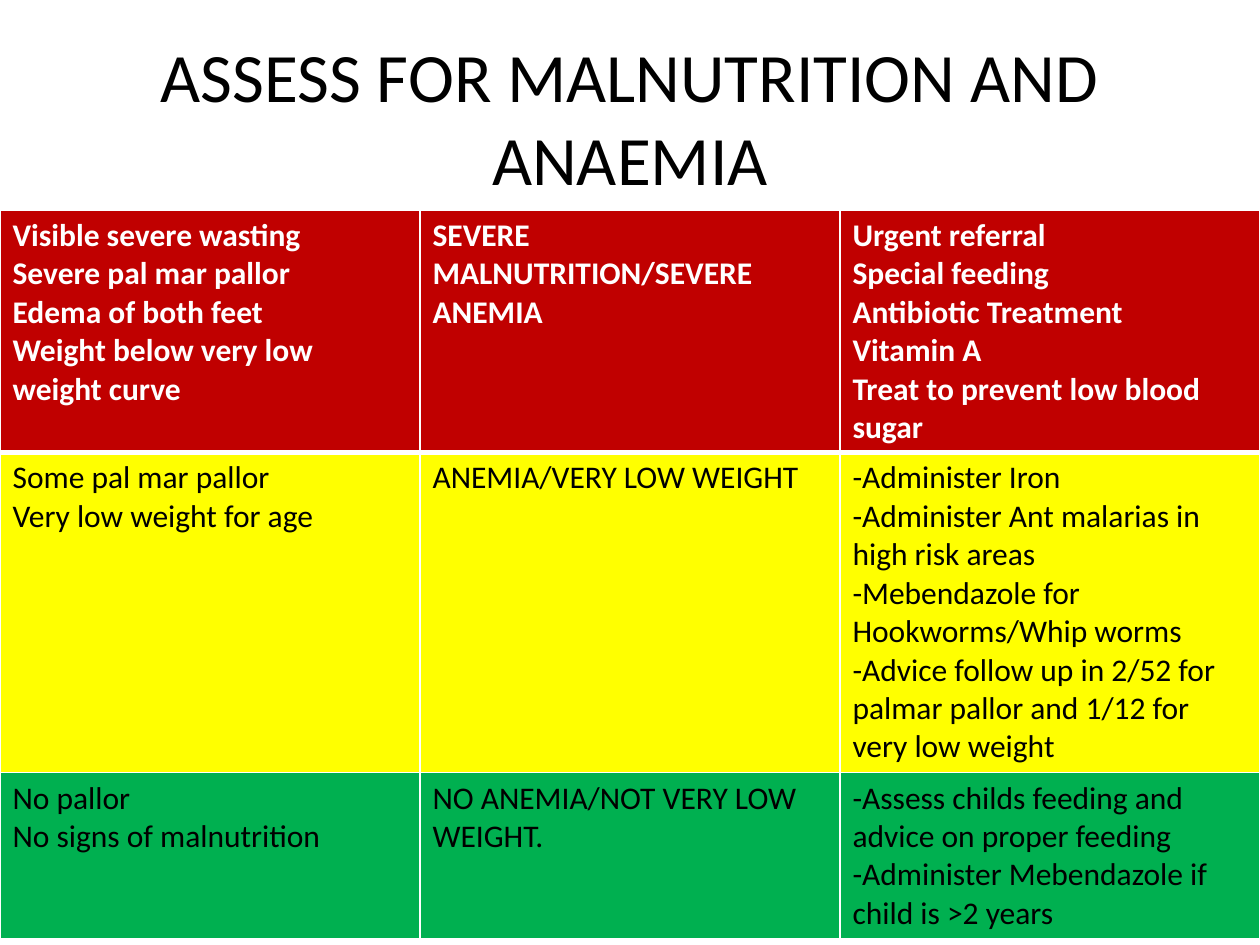
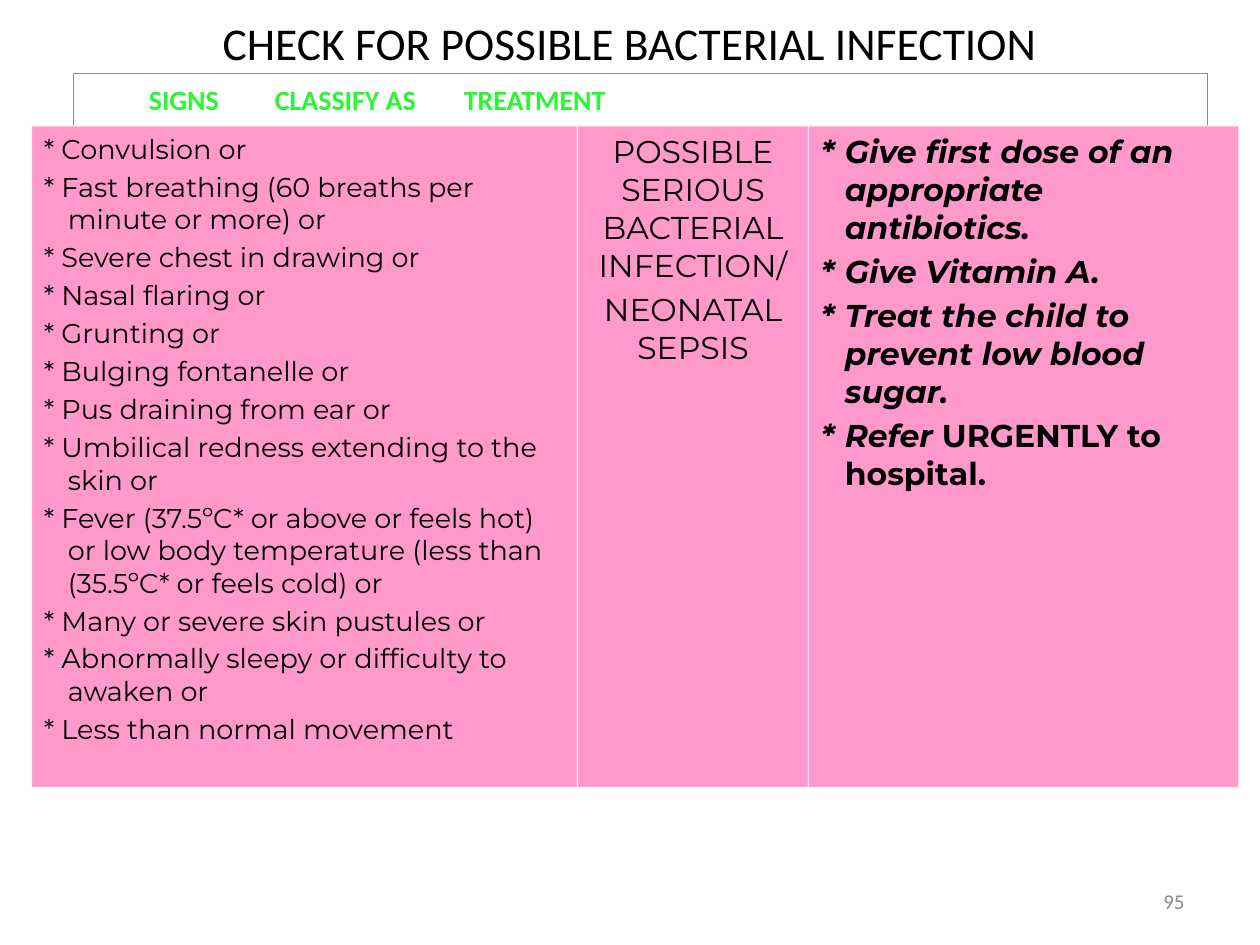
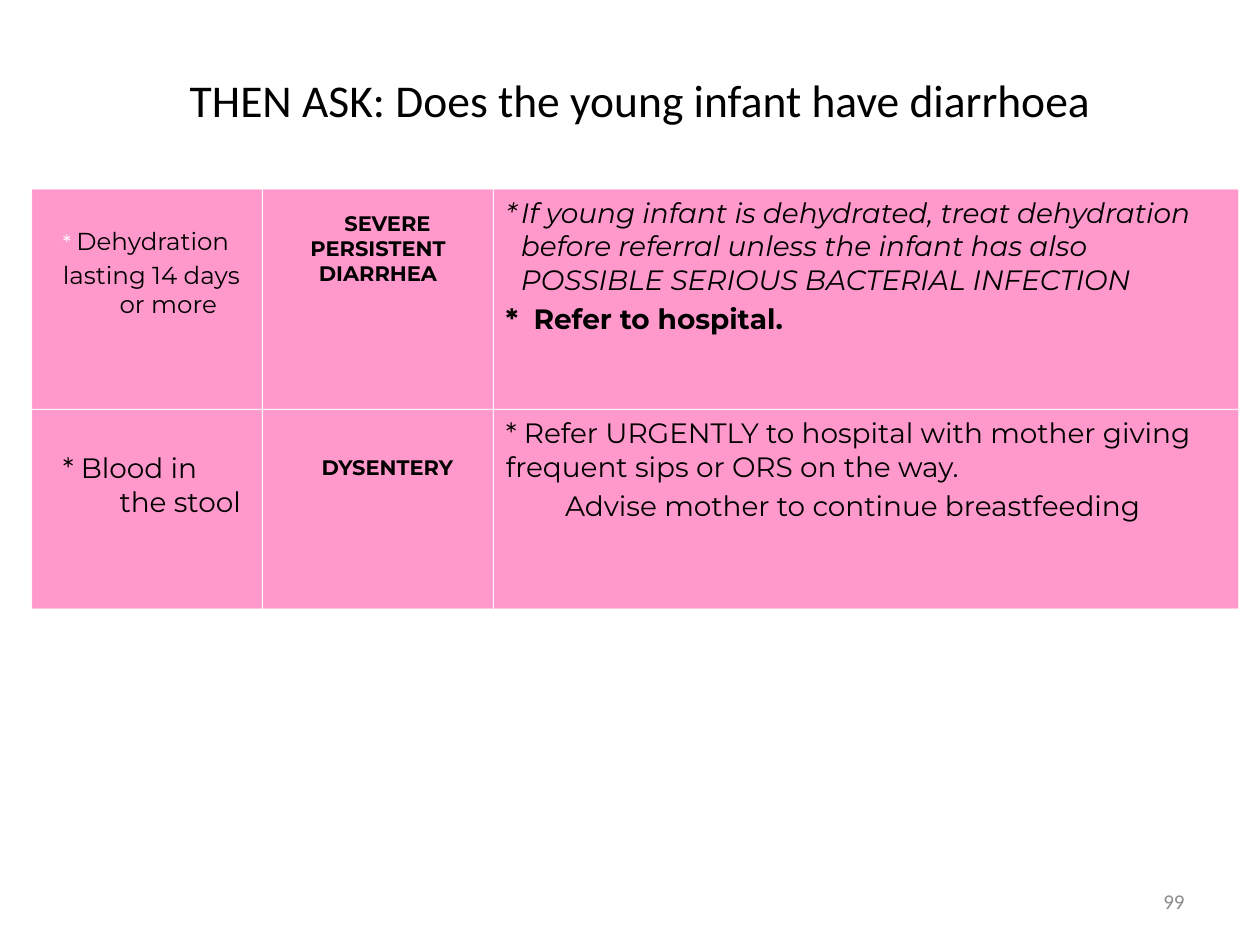
from dataclasses import dataclass

from lxml import etree
from pptx import Presentation
from pptx import util as u
from pptx.dml.color import RGBColor
from pptx.enum import shapes, text
from pptx.oxml.ns import qn

BLACK = RGBColor(0x00, 0x00, 0x00)
WHITE = RGBColor(0xFF, 0xFF, 0xFF)
GRAY = RGBColor(0x8C, 0x8C, 0x8C)
LIME = RGBColor(0x2B, 0xF5, 0x35)
PINK = RGBColor(0xFF, 0x99, 0xCC)
RED = RGBColor(0xC0, 0x00, 0x00)
YELLOW = RGBColor(0xFF, 0xFF, 0x00)
GREEN = RGBColor(0x00, 0xB0, 0x50)

HEADING_FONT, BODY_FONT = "Calibri", "Montserrat"
LEFT, CENTER, RIGHT = text.PP_ALIGN.LEFT, text.PP_ALIGN.CENTER, text.PP_ALIGN.RIGHT
TOP, MIDDLE = text.MSO_ANCHOR.TOP, text.MSO_ANCHOR.MIDDLE

# The slide is 120 columns by 90 rows, twelve of each to the inch.
GRID = u.Inches(1) // 12
COLUMNS, ROWS = 120, 90


@dataclass
class Style:
    """Look of a paragraph; left, first and tabs are in inches."""
    size: float
    font: str = BODY_FONT
    color: RGBColor = BLACK
    bold: bool = False
    italic: bool = False
    align: text.PP_ALIGN = LEFT
    left: float = 0
    first: float = 0
    tabs: tuple = ()
    space: float = 0.2  # space before, as a share of the text size


class Deck:
    def __init__(self):
        self.presentation = Presentation()
        self.presentation.slide_width = COLUMNS * GRID
        self.presentation.slide_height = ROWS * GRID
        self.slide = None

    def new_slide(self):
        self.slide = self.presentation.slides.add_slide(self.presentation.slide_layouts[6])

    @staticmethod
    def place(*cells):
        return [u.Emu(round(cell * GRID)) for cell in cells]

    @staticmethod
    def fill_text(frame, paragraphs):
        """Fill a frame with (style, run, ...); a run is a string or (string, font settings)."""
        for index, (style, *runs) in enumerate(paragraphs):
            paragraph = frame.add_paragraph() if index else frame.paragraphs[0]
            paragraph.alignment = style.align
            if index and style.space:
                paragraph.space_before = u.Pt(round(style.space * style.size, 1))
            properties = paragraph._p.get_or_add_pPr()
            properties.set("marL", str(u.Inches(style.left)))
            properties.set("indent", str(u.Inches(style.first)))
            if style.tabs:
                stops = etree.SubElement(properties, qn("a:tabLst"))
                for position in style.tabs:
                    etree.SubElement(stops, qn("a:tab"), pos=str(u.Inches(position)), algn="l")
            font = paragraph.font
            font.name, font.size = style.font, u.Pt(style.size)
            font.bold, font.italic = style.bold, style.italic
            font.color.rgb = style.color
            for item in runs:
                content, changes = (item, {}) if isinstance(item, str) else item
                run = paragraph.add_run()
                run.text = content
                run.font.size = changes.get("size")
                run.font.italic = changes.get("italic")
                if "color" in changes:
                    run.font.color.rgb = changes["color"]

    def label(self, place, style, content):
        frame = self.slide.shapes.add_textbox(*self.place(*place)).text_frame
        frame.word_wrap = True
        frame.vertical_anchor = MIDDLE
        self.fill_text(frame, [(style, content)])

    def title(self, content, place, size=26):
        self.label(place, Style(size, HEADING_FONT, align=CENTER), content)

    def page_number(self, number):
        self.label((86, 83.4, 28, 4.8), Style(12, HEADING_FONT, GRAY, align=RIGHT), str(number))

    def box(self, place, paragraphs, fill=None, line=WHITE, opacity=100, top=0.05):
        shape = self.slide.shapes.add_shape(shapes.MSO_SHAPE.RECTANGLE, *self.place(*place))
        shape.shadow.inherit = False
        if fill is None:
            shape.fill.background()
        else:
            shape.fill.solid()
            shape.fill.fore_color.rgb = fill
        shape.line.color.rgb = line
        shape.line.width = u.Pt(0.75)
        if opacity < 100:
            color = shape.line._ln.find(".//" + qn("a:srgbClr"))
            etree.SubElement(color, qn("a:alpha"), val=str(opacity * 1000))
        frame = shape.text_frame
        frame.word_wrap = True
        frame.vertical_anchor = TOP
        frame.margin_top = u.Inches(top)
        self.fill_text(frame, paragraphs)

    def panel_row(self, top, height, widths, panels):
        """Lay pink panels side by side; a panel is (top inset, paragraphs)."""
        left = 3
        for width, (inset, paragraphs) in zip(widths, panels):
            self.box((left, top, width, height), paragraphs, PINK, opacity=72, top=inset)
            left += width

    @staticmethod
    def cell_borders(cell, widths):
        properties = cell._tc.get_or_add_tcPr()
        for index, (side, width) in enumerate(widths.items()):
            line = etree.Element(qn(f"a:ln{side}"), w=str(u.Pt(width)))
            fill = etree.SubElement(line, qn("a:solidFill"))
            etree.SubElement(fill, qn("a:srgbClr"), val=str(WHITE))
            properties.insert(index, line)

    def table(self, top, heights, rows):
        """Draw equal columns across the slide; a row is (fill, style, cells)."""
        count = len(rows[0][2])
        place = self.place(0, top, COLUMNS, sum(heights))
        table = self.slide.shapes.add_table(len(rows), count, *place).table
        for row, (height, (fill, style, cells)) in enumerate(zip(heights, rows)):
            table.rows[row].height = self.place(height)[0]
            for column, lines in enumerate(cells):
                cell = table.cell(row, column)
                cell.fill.solid()
                cell.fill.fore_color.rgb = fill
                self.cell_borders(cell, {"L": 1, "R": 1, "T": 3 if row == 1 else 1,
                                         "B": 3 if row == 0 else 1})
                self.fill_text(cell.text_frame, [(style, line) for line in lines])


def malnutrition_slide(deck):
    deck.new_slide()
    deck.title("ASSESS FOR MALNUTRITION AND ANAEMIA", (6, 3.6, 108, 15), 39.6)
    severe = Style(18, HEADING_FONT, WHITE, bold=True, space=0)
    milder = Style(18, HEADING_FONT, space=0)
    deck.table(20, (23.1, 30.5, 15.8), [
        (RED, severe, [
            ["Visible severe wasting", "Severe pal mar pallor", "Edema of both feet",
             "Weight below very low weight curve"],
            ["SEVERE MALNUTRITION/SEVERE ANEMIA"],
            ["Urgent referral", "Special feeding", "Antibiotic Treatment", "Vitamin A",
             "Treat to prevent low blood sugar"]]),
        (YELLOW, milder, [
            ["Some pal mar pallor", "Very low weight for age"],
            ["ANEMIA/VERY LOW WEIGHT"],
            ["-Administer Iron", "-Administer Ant malarias in high risk areas",
             "-Mebendazole for Hookworms/Whip worms",
             "-Advice follow up in 2/52 for palmar pallor and 1/12 for very low weight"]]),
        (GREEN, milder, [
            ["No pallor", "No signs of malnutrition"],
            ["NO ANEMIA/NOT VERY LOW WEIGHT."],
            ["-Assess childs feeding and advice on proper feeding",
             "-Administer Mebendazole if child is >2 years"]]),
    ])


def infection_slide(deck):
    deck.new_slide()
    deck.title("CHECK FOR POSSIBLE BACTERIAL INFECTION", (6, -1, 108, 10))
    deck.page_number(95)

    # Column headings
    headings = Style(16, HEADING_FONT, LIME, bold=True, tabs=(1.26, 2.96, 5.13))
    deck.box((7, 7, 108, 8), [(headings, "\tSIGNS\tCLASSIFY AS\tTREATMENT")],
             line=GRAY, top=0.07)

    # Signs, class and treatment
    sign = Style(15.5, left=0.19, first=-0.19)
    name = Style(18, align=CENTER)
    step = Style(18, bold=True, italic=True, left=0.19, first=-0.19)
    signs = [
        "Convulsion or",
        "Fast breathing (60 breaths per minute or more) or",
        "Severe chest in drawing or",
        "Nasal flaring or",
        "Grunting or",
        "Bulging fontanelle or",
        "Pus draining from ear or",
        "Umbilical redness extending to the skin or",
        "Fever (37.5ºC* or above or feels hot) or low body temperature "
        "(less than (35.5ºC* or feels cold) or",
        "Many or severe skin pustules or",
        "Abnormally sleepy or difficulty to awaken or",
        "Less than normal movement",
    ]
    deck.panel_row(12, 63, (52, 22, 41), [
        (0.05, [(sign, f"* {line}") for line in signs]),
        (0.05, [(name, "POSSIBLE SERIOUS BACTERIAL INFECTION/"), (name, "NEONATAL SEPSIS")]),
        (0.05, [(step, "*\tGive first dose of an appropriate antibiotics."),
                (step, "*\tGive Vitamin A."),
                (step, "*\tTreat the child to prevent low blood sugar."),
                (step, "*\tRefer ", ("URGENTLY to hospital.", {"italic": False}))]),
    ])


def diarrhoea_slide(deck):
    deck.new_slide()
    deck.title("THEN ASK: Does the young infant have diarrhoea", (3, 5, 116, 9))
    deck.page_number(99)
    widths = (22, 22, 71)

    # Persistent diarrhoea
    sign = Style(14, left=0.6, first=-0.45)
    deck.panel_row(18, 21, widths, [
        (0.29, [(sign, ("* ", {"size": u.Pt(12), "color": WHITE}), "Dehydration"),
                (sign, "lasting 14 days or more")]),
        (0.17, [(Style(12, bold=True, align=CENTER, first=0.15),
                 "SEVERE PERSISTENT DIARRHEA")]),
        (0.05, [(Style(16, italic=True, left=0.12, first=-0.12),
                 "*\tIf young infant is dehydrated, treat dehydration before referral unless "
                 "the infant has also POSSIBLE SERIOUS BACTERIAL INFECTION"),
                (Style(16, bold=True, left=0.22, first=-0.22), "*\tRefer to hospital.")]),
    ])

    # Dysentery
    deck.panel_row(39, 19, widths, [
        (0.33, [(Style(16, left=0.6, first=-0.45), "* Blood in the stool")]),
        (0.36, [(Style(12, bold=True, align=CENTER, left=0.6, first=-0.45), "DYSENTERY")]),
        (0.05, [(Style(16), "* Refer URGENTLY to hospital with mother giving frequent sips "
                            "or ORS on the way."),
                (Style(16, left=0.47), "Advise mother to continue breastfeeding")]),
    ])


def main():
    deck = Deck()
    malnutrition_slide(deck)
    infection_slide(deck)
    diarrhoea_slide(deck)
    deck.presentation.save("out.pptx")


if __name__ == "__main__":
    main()
